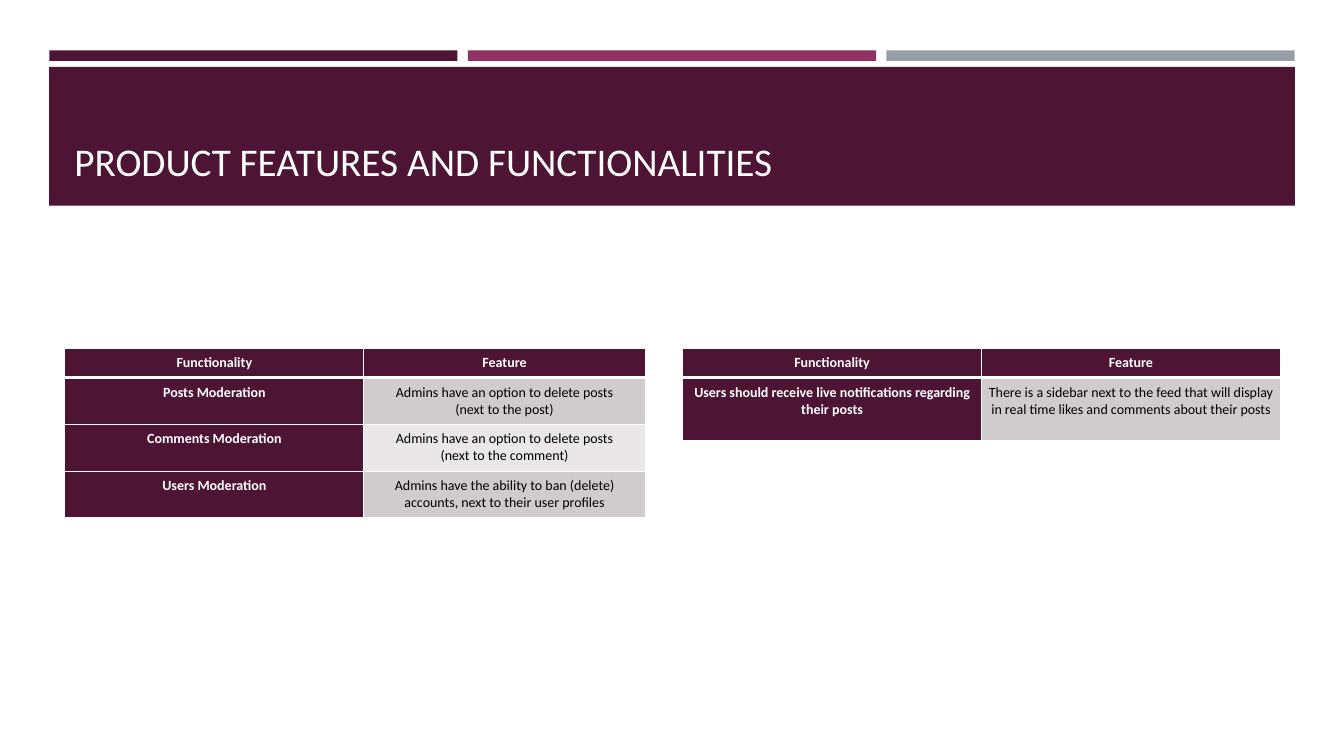
import pptx
import pptx.util
import pptx.dml.color
import pptx.enum.shapes
import pptx.enum.text
import lxml.etree
from pptx.oxml.ns import qn

Pt = pptx.util.Pt
RGB = pptx.dml.color.RGBColor.from_string
ALIGN = pptx.enum.text.PP_ALIGN
ANCHOR = pptx.enum.text.MSO_ANCHOR

THEME = {
    "font": "Calibri", "title_size": 28, "cell_size": 10,
    "plum": "4D1434", "magenta": "903163", "slate": "969FA7",
    "white": "FFFFFF", "black": "000000",
    "bands": ["D0CCCE", "E9E7E8"],
}


def add_bar(s, x, y, w, h, color):
    sp = s.shapes.add_shape(pptx.enum.shapes.MSO_SHAPE.RECTANGLE, Pt(x), Pt(y), Pt(w), Pt(h))
    sp.shadow.inherit = False
    sp.fill.solid()
    sp.fill.fore_color.rgb = RGB(color)
    sp.line.fill.background()


def set_borders(cell, widths):
    """Put white lines, given left, right, top, bottom, ahead of the cell fill."""
    tcPr = cell._tc.get_or_add_tcPr()
    for i, (side, width) in enumerate(zip("LRTB", widths)):
        ln = lxml.etree.Element(qn("a:ln" + side), w=str(Pt(width)))
        fill = lxml.etree.SubElement(ln, qn("a:solidFill"))
        lxml.etree.SubElement(fill, qn("a:srgbClr"), val=THEME["white"])
        tcPr.insert(i, ln)


prs = pptx.Presentation()
prs.slide_width, prs.slide_height = Pt(960), Pt(540)
s = prs.slides.add_slide(prs.slide_layouts[5])

# Header bars and title band
for i, name in enumerate(["plum", "magenta", "slate"]):
    add_bar(s, 35.2 + 299 * i, 36, 291.6, 7.5, THEME[name])
add_bar(s, 35.2, 47.8, 889.8, 99.2, THEME["plum"])

# Title, brought in front of its band
title = s.shapes.title
title.left, title.top, title.width, title.height = Pt(46), Pt(57.6), Pt(868.4), Pt(77.8)
title.element.getparent().append(title.element)
tf = title.text_frame
tf.text = "PRODUCT FEATURES AND FUNCTIONALITIES"
tf.vertical_anchor = ANCHOR.BOTTOM
p = tf.paragraphs[0]
p.alignment = ALIGN.LEFT
p.font.size = Pt(THEME["title_size"])
p.font.name = THEME["font"]
p.font.color.rgb = RGB(THEME["white"])

# Feature tables: left, column widths, row heights, rows of text
header = ["Functionality", "Feature"]
tables = [
    (46.3, [213.6, 201], [21, 33.4, 33.4, 33.4], [
        header,
        ["Posts Moderation", "Admins have an option to delete posts\n(next to the post)"],
        ["Comments Moderation", "Admins have an option to delete posts\n(next to the comment)"],
        ["Users Moderation",
         "Admins have the ability to ban (delete) accounts, next to their user profiles"],
    ]),
    (487.6, [213.5, 213.5], [21, 45.3], [
        header,
        ["Users should receive live notifications regarding their posts",
         "There is a sidebar next to the feed that will display in real time "
         "likes and comments about their posts"],
    ]),
]
for left, widths, heights, rows in tables:
    table = s.shapes.add_table(len(rows), 2, Pt(left), Pt(248.6),
                               Pt(sum(widths)), Pt(sum(heights))).table
    table.first_col = True
    for column, width in zip(table.columns, widths):
        column.width = Pt(width)
    for i, (row, height) in enumerate(zip(rows, heights)):
        table.rows[i].height = Pt(height)
        for j, text in enumerate(row):
            cell = table.cell(i, j)
            heading = i == 0 or j == 0
            cell.margin_left = cell.margin_right = Pt(4.5)
            cell.margin_top = cell.margin_bottom = Pt(4.5)
            cell.fill.solid()
            cell.fill.fore_color.rgb = RGB(THEME["plum"] if heading else THEME["bands"][(i - 1) % 2])
            set_borders(cell, [1, 1, 3 if i == 1 else 1, 3 if i == 0 else 1])
            cell.text_frame.text = text
            for p in cell.text_frame.paragraphs:
                p.alignment = ALIGN.CENTER
                for r in p.runs:
                    r.font.size = Pt(THEME["cell_size"])
                    r.font.name = THEME["font"]
                    r.font.bold = heading
                    r.font.color.rgb = RGB(THEME["white"] if heading else THEME["black"])

prs.save("out.pptx")
